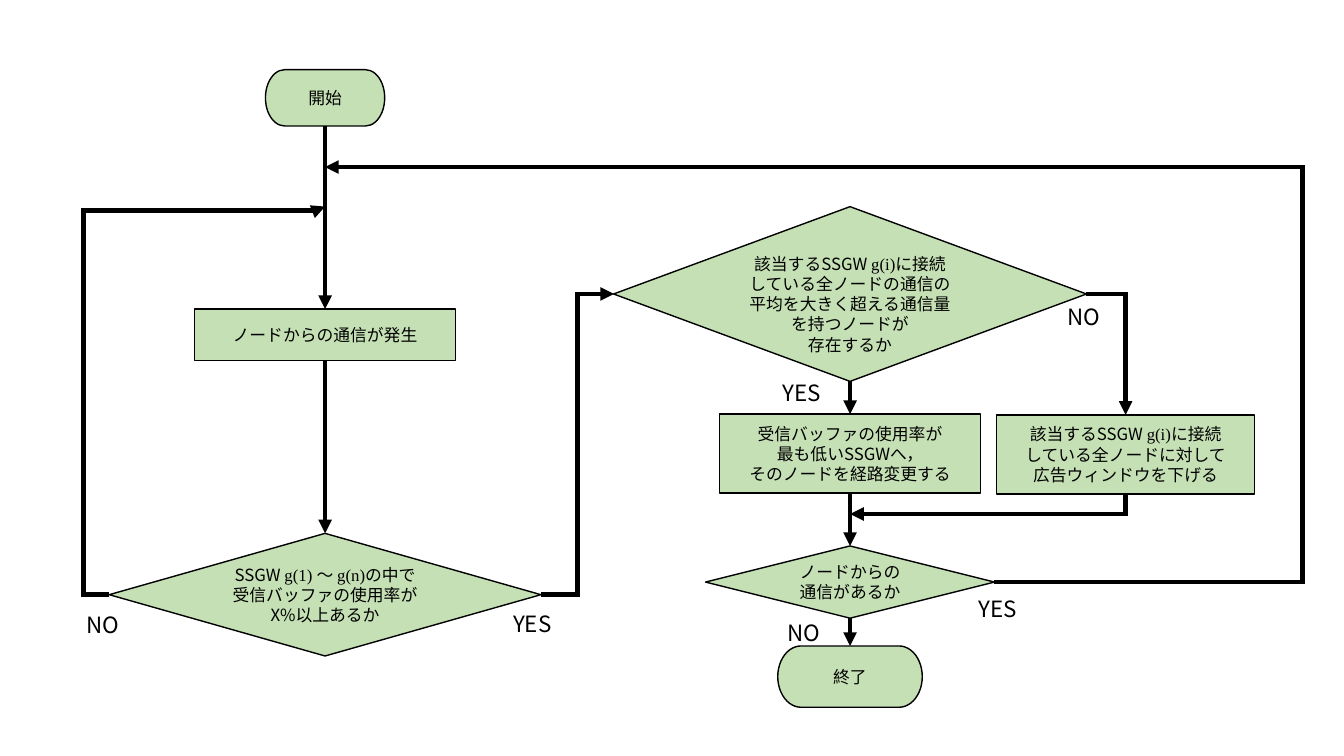
from lxml import etree
from pptx import Presentation
from pptx import util as u
from pptx.dml.color import RGBColor
from pptx.enum import shapes, text
from pptx.oxml.ns import qn

BLACK = RGBColor(0x00, 0x00, 0x00)
GREEN = RGBColor(0xC5, 0xE0, 0xB4)
SANS = "Noto Sans CJK JP"
SERIF = "Times New Roman"
COLUMNS, ROWS = 16, 9
TOP, LEFT, BOTTOM, RIGHT = range(4)

TERMINATOR = shapes.MSO_SHAPE.FLOWCHART_TERMINATOR
PROCESS = shapes.MSO_SHAPE.FLOWCHART_PROCESS
DECISION = shapes.MSO_SHAPE.FLOWCHART_DECISION


class Flowchart:
    def __init__(self, deck):
        self.slide = deck.slides.add_slide(deck.slide_layouts[6])
        self.column = deck.slide_width / COLUMNS
        self.row = deck.slide_height / ROWS

    def x(self, columns):
        return round(columns * self.column)

    def y(self, rows):
        return round(rows * self.row)

    def style_run(self, run, size, font):
        run.font.size = u.Pt(size)
        run.font.color.rgb = BLACK
        run.font.name = font
        east_asian = etree.SubElement(run.font._element, qn("a:ea"))
        east_asian.set("typeface", SANS)

    def node(self, kind, center, top, width, height, lines, drop=0):
        step = self.slide.shapes.add_shape(
            kind, self.x(center - width / 2), self.y(top), self.x(width), self.y(height))
        step.shadow.inherit = False
        step.fill.solid()
        step.fill.fore_color.rgb = GREEN
        step.line.color.rgb = BLACK
        step.line.width = u.Pt(1)
        frame = step.text_frame
        frame.word_wrap = True
        frame.vertical_anchor = text.MSO_ANCHOR.MIDDLE
        frame.margin_top += self.y(drop)
        for number, line in enumerate(lines):
            paragraph = frame.add_paragraph() if number else frame.paragraphs[0]
            paragraph.alignment = text.PP_ALIGN.CENTER
            for part, words in enumerate(line.split("|")):
                run = paragraph.add_run()
                run.text = words
                self.style_run(run, 12, SERIF if part % 2 else SANS)
        return step

    def answer(self, left, top, words):
        label = self.slide.shapes.add_textbox(
            self.x(left), self.y(top), self.x(1.16), self.y(0.44))
        label.text_frame.word_wrap = True
        label.text_frame.text = words
        self.style_run(label.text_frame.paragraphs[0].runs[0], 16, SANS)

    def connector(self, kind, begin, end, arrow="tailEnd"):
        flow = self.slide.shapes.add_connector(
            kind, self.x(begin[0]), self.y(begin[1]), self.x(end[0]), self.y(end[1]))
        flow.line.color.rgb = BLACK
        flow.line.width = u.Pt(3.25)
        outline = flow.line._get_or_add_ln()
        etree.SubElement(outline, qn("a:miter")).set("lim", "800000")
        etree.SubElement(outline, qn("a:" + arrow)).set("type", "triangle")
        etree.SubElement(outline.getparent(), qn("a:effectLst"))
        return flow

    def down(self, upper, lower):
        flow = self.connector(shapes.MSO_CONNECTOR.STRAIGHT, (0, 0), (0, 0))
        flow.begin_connect(upper, BOTTOM)
        flow.end_connect(lower, TOP)

    def elbow(self, preset, begin, end, bends=(), arrow="tailEnd"):
        flow = self.connector(shapes.MSO_CONNECTOR.ELBOW, begin, end, arrow)
        geometry = flow._element.find(".//" + qn("a:prstGeom"))
        geometry.set("prst", preset)
        guides = geometry.find(qn("a:avLst"))
        for number, share in enumerate(bends, 1):
            guide = etree.SubElement(guides, qn("a:gd"))
            guide.set("name", f"adj{number}")
            guide.set("fmla", f"val {round(share * 100000)}")


def main():
    deck = Presentation()
    deck.slide_width, deck.slide_height = u.Inches(13.33), u.Inches(7.5)
    chart = Flowchart(deck)
    intake, routing, window = 3.87, 10.12, 13.4

    start = chart.node(TERMINATOR, intake, 0.83, 1.42, 0.67, ["開始"])
    traffic = chart.node(PROCESS, intake, 3.68, 3.11, 0.61, ["ノードからの通信が発生"])
    buffer_check = chart.node(
        DECISION, intake, 6.35, 5.14, 1.46,
        ["SSGW |g(1) |〜| g(n)|の中で", "受信バッファの使用率がX%以上あるか"])
    heavy_check = chart.node(
        DECISION, routing, 2.46, 5.63, 2.08,
        ["該当するSSGW |g(i)|に接続", "している全ノードの通信の",
         "平均を大きく超える通信量を持つノードが", "存在するか"], drop=0.24)
    reroute = chart.node(
        PROCESS, routing, 4.93, 3.11, 0.94,
        ["受信バッファの使用率が", "最も低いSSGWへ，", "そのノードを経路変更する"])
    chart.node(
        PROCESS, window, 4.94, 3.07, 0.94,
        ["該当するSSGW |g(i)|に接続", "している全ノードに対して", "広告ウィンドウを下げる"])
    more_check = chart.node(
        DECISION, routing, 6.5, 3.44, 0.86, ["ノードからの", "通信があるか"])
    finish = chart.node(TERMINATOR, routing, 7.69, 1.72, 0.73, ["終了"])

    for upper, lower in [(start, traffic), (traffic, buffer_check), (heavy_check, reroute),
                         (reroute, more_check), (more_check, finish)]:
        chart.down(upper, lower)

    chart.elbow("bentConnector2", (12.93, 3.5), (window, 4.94))
    chart.elbow("bentConnector2", (routing, 6.12), (window, 5.88), arrow="headEnd")
    chart.elbow("bentConnector3", (11.84, 6.93), (intake, 1.99), [-0.46])
    chart.elbow("bentConnector3", (6.44, 7.08), (7.31, 3.5), [0.5])
    chart.elbow("bentConnector4", (1.3, 7.08), (intake, 2.46), [-0.12, 0.99])

    for left, top, words in [(9.2, 4.46, "YES"), (5.99, 7.21, "YES"), (11.53, 7.03, "YES"),
                             (9.26, 7.31, "NO"), (0.91, 7.22, "NO"), (12.59, 3.55, "NO")]:
        chart.answer(left, top, words)

    deck.save("out.pptx")


if __name__ == "__main__":
    main()
